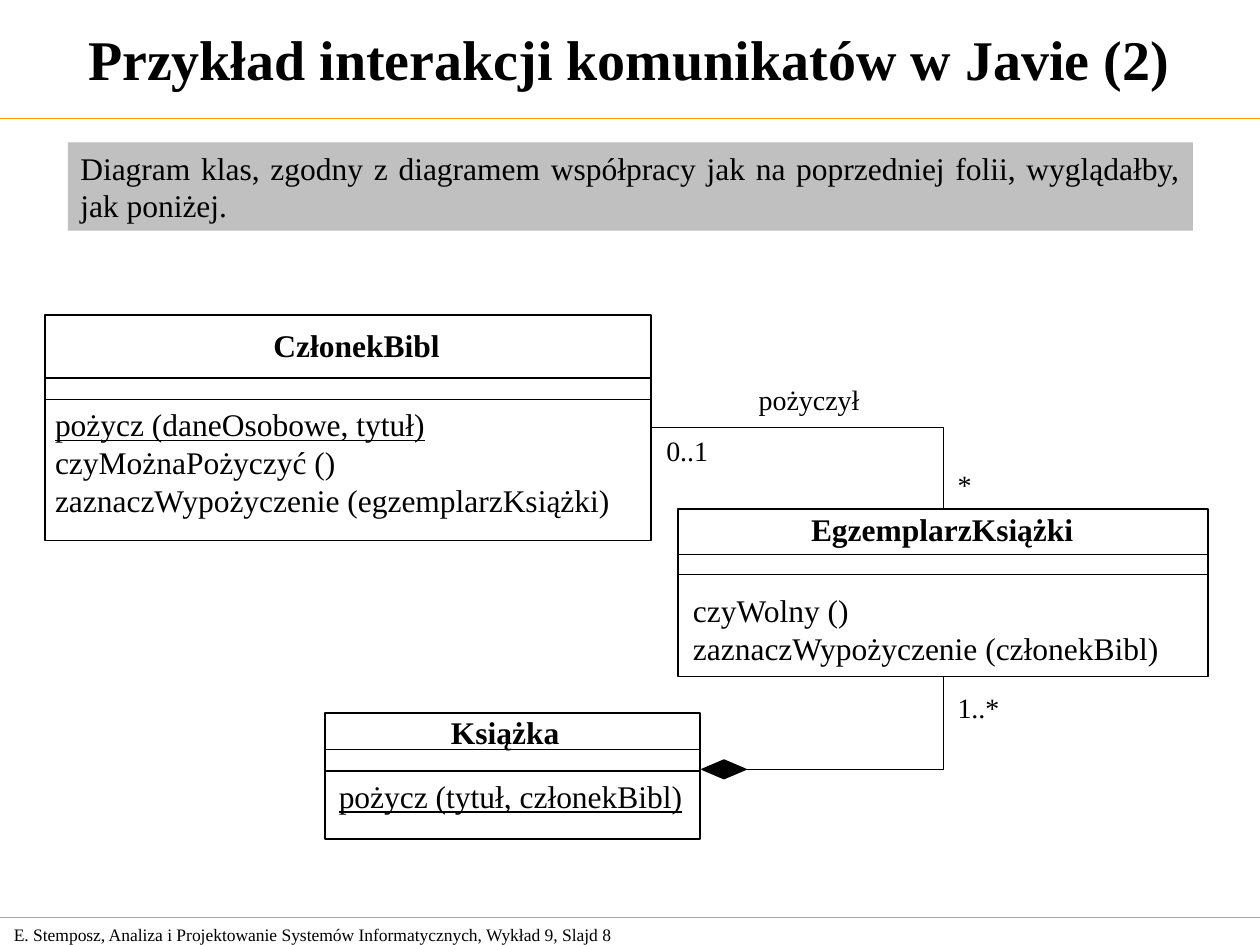
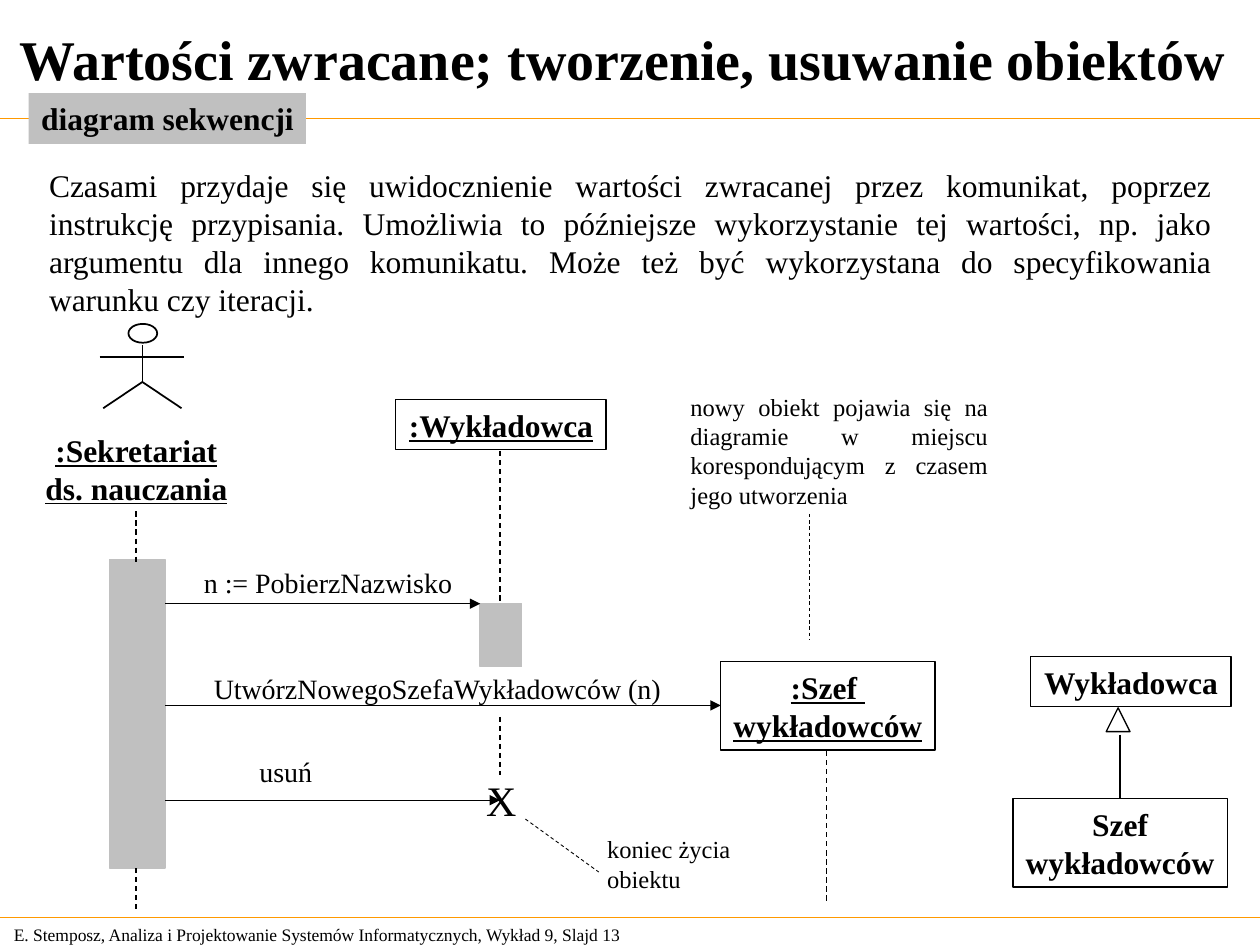
from lxml import etree
from pptx import Presentation
from pptx.dml.color import RGBColor
from pptx.enum.dml import MSO_LINE
from pptx.enum.shapes import MSO_CONNECTOR as CONN, MSO_SHAPE as SHAPE
from pptx.enum.text import MSO_ANCHOR as ANCHOR, PP_ALIGN as ALIGN
from pptx.oxml.ns import qn
from pptx.util import Cm, Pt

COLORS = {"ink": "000000", "gray": "C0C0C0", "rule": "FF9900", "paper": "FFFFFF"}
FONT = "Times New Roman"
WIDTH, HEIGHT = 25.4, 19.05
RULES = (2.39, 18.49)
FOOTER = "E. Stemposz, Analiza i Projektowanie Systemów Informatycznych, Wykład 9, Slajd {}"
TOP, BOTTOM, RIGHT = 0, 2, 3  # connection sites

# All places are in centimetres: left, top, width, height.
CLASS_NOTE = ("Diagram klas, zgodny z diagramem współpracy jak na poprzedniej folii, "
              "wyglądałby, jak poniżej.")
CLASSES = {
    "CzłonekBibl": dict(
        box=(0.91, 6.35, 12.22, 4.55), name_at=(5.26, 6.45, 3.86, 1.02),
        dividers=(7.62, 8.05), ops_at=(0.86, 8.05, 11.73, 2.54), static=1,
        ops=["pożycz (daneOsobowe, tytuł)", "czyMożnaPożyczyć ()",
             "zaznaczWypożyczenie (egzemplarzKsiążki)"]),
    "Książka": dict(
        box=(6.55, 14.38, 7.57, 2.54), name_at=(8.84, 14.25, 2.69, 1.02),
        dividers=(15.11, 15.54), ops_at=(6.58, 15.54, 7.44, 1.02), static=1,
        ops=["pożycz (tytuł, członekBibl)"]),
    "EgzemplarzKsiążki": dict(
        box=(13.67, 10.26, 10.69, 3.38), name_at=(16.1, 10.16, 5.79, 1.02),
        dividers=(11.18, 11.58), ops_at=(13.72, 11.79, 10.31, 1.78), static=0,
        ops=["czyWolny ()", "zaznaczWypożyczenie (członekBibl)"]),
}
ROLES = [
    ("pożyczył", (15.04, 7.59, 2.54, 0.94)),
    ("0..1", (13.18, 8.61, 1.35, 0.94)),
    ("*", (19.05, 9.3, 0.79, 0.94)),
    ("1..*", (19.05, 13.79, 1.35, 0.94)),
]
AGGREGATION = (14.15, 15.32, 0.89, 0.38)

SEQUENCE_INTRO = (
    "Czasami przydaje się uwidocznienie wartości zwracanej przez komunikat, poprzez "
    "instrukcję przypisania. Umożliwia to późniejsze wykorzystanie tej wartości, np. jako "
    "argumentu dla innego komunikatu. Może też być wykorzystana do specyfikowania warunku "
    "czy iteracji.")
ACTOR_HEAD = (2.59, 6.53, 0.58, 0.38)
ACTOR_LIMBS = [
    (2.87, 6.96, 2.87, 7.7),
    (2.01, 7.2, 3.71, 7.2),
    (2.87, 7.7, 3.66, 8.23),
    (2.87, 7.7, 2.08, 8.23),
]
ACTIVATIONS = [(2.21, 11.28, 1.12, 6.22), (9.68, 12.17, 0.84, 1.27)]
OBJECTS = [  # lines, place, underlined lines
    ([":Wykładowca"], (7.98, 8.05, 4.24, 1.02), 1),
    ([":Szef ", "wykładowców"], (14.53, 13.34, 4.32, 1.78), 2),
    (["Wykładowca"], (20.78, 13.23, 4.04, 1.02), 0),
    (["Szef", "wykładowców"], (20.42, 16.1, 4.32, 1.78), 0),
]
MESSAGE_START = 3.33
MESSAGES = [  # text, label place, arrow height, arrow end
    ("n := PobierzNazwisko", (3.86, 11.28, 5.51, 0.94), 12.17, 9.68),
    ("UtwórzNowegoSzefaWykładowców (n)", (4.06, 13.41, 9.55, 0.94), 14.22, 14.53),
    ("usuń", (4.98, 15.09, 1.57, 0.94), 16.13, 10.08),
]
LIFELINES = [  # x, top, bottom
    (2.74, 10.31, 11.33), (2.74, 17.5, 18.34),
    (10.08, 9.09, 12.17), (10.08, 14.45, 15.62),
    (16.66, 15.14, 18.21),
]
NOTE_LINES = [(16.31, 10.36, 16.31, 12.9), (10.59, 16.51, 12.07, 17.58)]
INHERITANCE_TIP = (22.3, 14.27, 0.48, 0.48)
INHERITANCE_LINE = (22.58, 14.81, 22.58, 16.08)


def cm(values):
    return [Cm(v) for v in values]


def rgb(name):
    return RGBColor.from_string(COLORS[name])


def shape(s, at, kind=SHAPE.RECTANGLE, fill=None, line="ink", width=1):
    sp = s.shapes.add_shape(kind, *cm(at))
    sp.shadow.inherit = False
    if fill:
        sp.fill.solid()
        sp.fill.fore_color.rgb = rgb(fill)
    else:
        sp.fill.background()
    if line:
        sp.line.color.rgb = rgb(line)
        sp.line.width = Pt(width)
    else:
        sp.line.fill.background()
    return sp


def text(s, lines, at, size=18, bold=False, underlined=0, align=ALIGN.LEFT,
         anchor=ANCHOR.TOP, wrap=False, fill=None, line=None):
    """Write one paragraph per line; the first `underlined` ones are underlined."""
    if fill or line:
        sp = shape(s, at, fill=fill, line=line, width=0.75)
    else:
        sp = s.shapes.add_textbox(*cm(at))
    tf = sp.text_frame
    tf.word_wrap = wrap
    tf.vertical_anchor = anchor
    for i, content in enumerate(lines):
        p = tf.paragraphs[0] if i == 0 else tf.add_paragraph()
        p.alignment = align
        r = p.add_run()
        r.text = content
        r.font.name = FONT
        r.font.size = Pt(size)
        r.font.bold = bold
        r.font.underline = i < underlined
        r.font.color.rgb = rgb("ink")
    return sp


def connector(s, ends, kind=CONN.STRAIGHT, color="ink", width=0.75, dash=False, arrow=False):
    c = s.shapes.add_connector(kind, *cm(ends))
    c.line.color.rgb = rgb(color)
    c.line.width = Pt(width)
    if dash:
        c.line.dash_style = MSO_LINE.DASH
    if arrow:
        etree.SubElement(c.line._get_or_add_ln(), qn("a:tailEnd"), type="triangle")
    etree.SubElement(c._element.spPr, qn("a:effectLst"))
    return c


def association(s, start, start_site, end, end_site):
    """Join two shapes with a connector that has a single corner."""
    c = connector(s, (0, 0, 1, 1), kind=CONN.ELBOW)
    c._element.spPr.find(qn("a:prstGeom")).set("prst", "bentConnector2")
    c.begin_connect(start, start_site)
    c.end_connect(end, end_site)


def new_slide(prs, title, number, title_at):
    s = prs.slides.add_slide(prs.slide_layouts[6])
    s.background.fill.solid()
    s.background.fill.fore_color.rgb = rgb("paper")
    text(s, [FOOTER.format(number)], (0.03, 18.49, 13.31, 0.69), size=10,
         anchor=ANCHOR.MIDDLE)
    for y in RULES:
        connector(s, (0, y, WIDTH, y), color="rule")
    text(s, [title], title_at, size=32, bold=True, align=ALIGN.CENTER,
         anchor=ANCHOR.MIDDLE, wrap=True)
    return s


def uml_class(s, name, box, name_at, dividers, ops_at, ops, static):
    sp = shape(s, box)
    for y in dividers:
        connector(s, (box[0], y, box[0] + box[2], y))
    text(s, [name], name_at, bold=True, align=ALIGN.CENTER)
    text(s, ops, ops_at, underlined=static)
    return sp


def class_slide(prs):
    s = new_slide(prs, "Przykład interakcji komunikatów w Javie (2)", 8,
                  (0, 0, 25.37, 2.34))
    text(s, [CLASS_NOTE], (1.37, 2.87, 22.68, 1.78), align=ALIGN.JUSTIFY, wrap=True,
         fill="gray")
    boxes = {name: uml_class(s, name, **parts) for name, parts in CLASSES.items()}
    for role, at in ROLES:
        text(s, [role], at, size=16, align=ALIGN.CENTER)
    diamond = shape(s, AGGREGATION, SHAPE.DIAMOND, fill="ink", width=0.75)
    association(s, boxes["CzłonekBibl"], RIGHT, boxes["EgzemplarzKsiążki"], TOP)
    association(s, diamond, RIGHT, boxes["EgzemplarzKsiążki"], BOTTOM)


def sequence_slide(prs):
    s = new_slide(prs, "Wartości zwracane; tworzenie, usuwanie obiektów ", 13,
                  (0.1, 0.1, 25.2, 2.16))
    text(s, ["diagram sekwencji"], (0.58, 1.88, 5.59, 1.02), bold=True, fill="gray")
    text(s, [SEQUENCE_INTRO], (0.74, 3.23, 23.95, 3.3), align=ALIGN.JUSTIFY, wrap=True)

    shape(s, ACTOR_HEAD, SHAPE.OVAL)
    for limb in ACTOR_LIMBS:
        connector(s, limb, width=1)
    text(s, [":Sekretariat", "ds. nauczania"], (0.58, 8.56, 4.34, 1.78), bold=True,
         underlined=2, align=ALIGN.CENTER)

    for at in ACTIVATIONS:
        shape(s, at, fill="gray", line="gray", width=0.75)
    for lines, at, underlined in OBJECTS:
        text(s, lines, at, bold=True, underlined=underlined, align=ALIGN.CENTER,
             anchor=ANCHOR.MIDDLE, line="ink")
    for x, top, bottom in LIFELINES:
        connector(s, (x, top, x, bottom), dash=True)
    for label, at, y, end in MESSAGES:
        connector(s, (MESSAGE_START, y, end, y), arrow=True)
        text(s, [label], at, size=16)
    text(s, ["X"], (9.55, 15.49, 1.12, 1.27), size=24)

    text(s, ["nowy obiekt pojawia się na diagramie w miejscu korespondującym z czasem "
             "jego utworzenia"], (13.67, 7.77, 6.5, 2.64), size=14, align=ALIGN.JUSTIFY,
         wrap=True)
    text(s, ["koniec życia", "obiektu"], (11.99, 16.69, 3, 1.45), size=14)
    for ends in NOTE_LINES:
        connector(s, ends, width=0.5, dash=True)

    shape(s, INHERITANCE_TIP, SHAPE.FLOWCHART_EXTRACT, width=0.75)
    connector(s, INHERITANCE_LINE)


def main():
    prs = Presentation()
    prs.slide_width, prs.slide_height = Cm(WIDTH), Cm(HEIGHT)
    class_slide(prs)
    sequence_slide(prs)
    prs.save("out.pptx")


if __name__ == "__main__":
    main()
